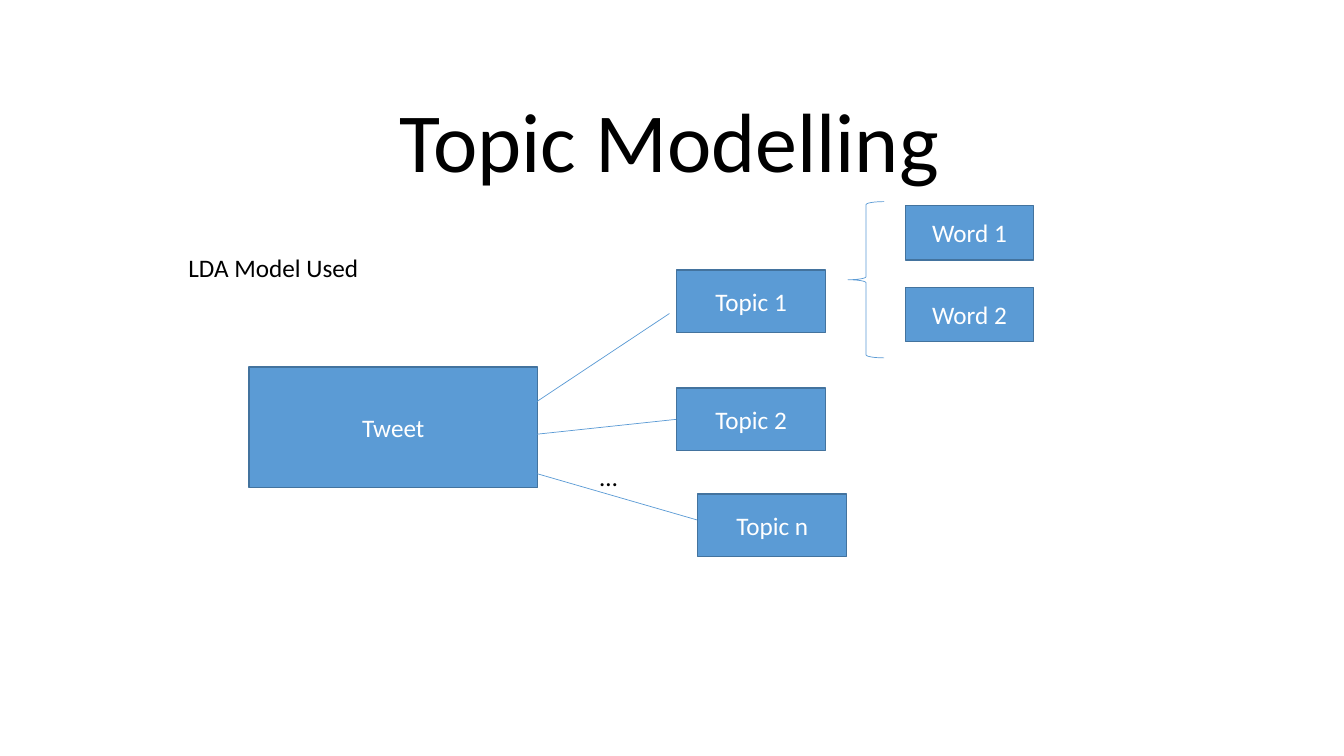
from lxml.etree import SubElement
from pptx import Presentation
from pptx.dml.color import RGBColor
from pptx.enum.shapes import MSO_CONNECTOR as Link, MSO_SHAPE as Shape
from pptx.enum.text import MSO_ANCHOR as Anchor, MSO_AUTO_SIZE as Fit, PP_ALIGN as Align
from pptx.oxml.ns import qn
from pptx.util import Inches, Pt

WIDE, HIGH = Inches(13.33), Inches(7.5)
HUES = {"fill": "5B9BD5", "edge": "43739E", "ink": "000000", "pale": "FFFFFF"}


def hue(name):
    return RGBColor.from_string(HUES[name])


def place(x, y, *size):
    """Turn percent of the slide's width and height into lengths."""
    marks = (x, y, *size)
    return [int((HIGH if i % 2 else WIDE) * m / 100) for i, m in enumerate(marks)]


def write(frame, text, color="ink", size=18, align=Align.LEFT):
    frame.text = text
    frame.word_wrap = True
    para = frame.paragraphs[0]
    para.alignment = align
    font = para.runs[0].font
    font.name, font.size = "Calibri", Pt(size)
    font.color.rgb = hue(color)
    return para


def node(slide, text, *box):
    rect = slide.shapes.add_shape(Shape.RECTANGLE, *place(*box))
    rect.shadow.inherit = False
    rect.fill.solid()
    rect.fill.fore_color.rgb = hue("fill")
    rect.line.color.rgb = hue("edge")
    rect.line.width = Pt(1)
    rect.text_frame.vertical_anchor = Anchor.MIDDLE
    write(rect.text_frame, text, "pale", align=Align.CENTER)
    return rect


def label(slide, text, *box):
    frame = slide.shapes.add_textbox(*place(*box)).text_frame
    write(frame, text)
    frame.auto_size = Fit.SHAPE_TO_FIT_TEXT


def thin(line):
    line.color.rgb = hue("fill")
    line.width = Pt(0.5)


def join(slide, *ends):
    link = slide.shapes.add_connector(Link.STRAIGHT, *place(*ends))
    thin(link.line)
    SubElement(link._element.spPr, qn("a:effectLst"))
    return link


def head(slide, box):
    title = slide.shapes.title
    title.left, title.top, title.width, title.height = place(*box)
    title.text_frame.vertical_anchor = Anchor.BOTTOM
    para = write(title.text_frame, "Topic Modelling", size=60, align=Align.CENTER)
    para.line_spacing = 0.9


def fan(slide, box):
    """Tweet on the left, linked to its topics on the right."""
    x, y, w, h = box
    far = x + w - 11.1
    node(slide, "Tweet", x, y + 12.8, 21.45, 16)
    ends = [(21.23, 17.6, 31.28, 5.74), (21.23, 21.74, 31.81, 19.74),
            (21.45, 26.94, 33.38, 33.07)]
    links = [join(slide, x + a, y + b, x + c, y + d) for a, b, c, d in ends]
    label(slide, "…", x + 25.36, y + 24.67, 5.93, 5.33)
    spots = [("1", far - 1.57, y), ("2", far - 1.57, y + 15.6), ("n", far, y + h - 8.27)]
    topics = [node(slide, f"Topic {key}", a, b, 11.1, 8.27) for key, a, b in spots]
    links[1].end_connect(topics[1], 1)


def words(slide, box):
    """Brace with the words of one topic."""
    x, y, w, h = box
    brace = slide.shapes.add_shape(Shape.LEFT_BRACE, *place(x, y, 2.7, h))
    brace.shadow.inherit = False
    brace.fill.background()
    thin(brace.line)
    for i in range(2):
        node(slide, f"Word {i + 1}", x + w - 9.53, y + 0.53 + 10.8 * i, 9.53, 7.2)


def main():
    deck = Presentation()
    deck.slide_width, deck.slide_height = WIDE, HIGH
    slide = deck.slides.add_slide(deck.slide_layouts[0])
    sub = slide.placeholders[1].element
    sub.getparent().remove(sub)
    head(slide, (12.3, -8.93, 75.02, 34.8))
    fan(slide, (18.53, 35.73, 44.48, 37.87))
    label(slide, "LDA Model Used", 13.28, 32.67, 23.78, 5.33)
    words(slide, (63.09, 26.67, 13.81, 20.67))
    deck.save("out.pptx")


if __name__ == "__main__":
    main()
